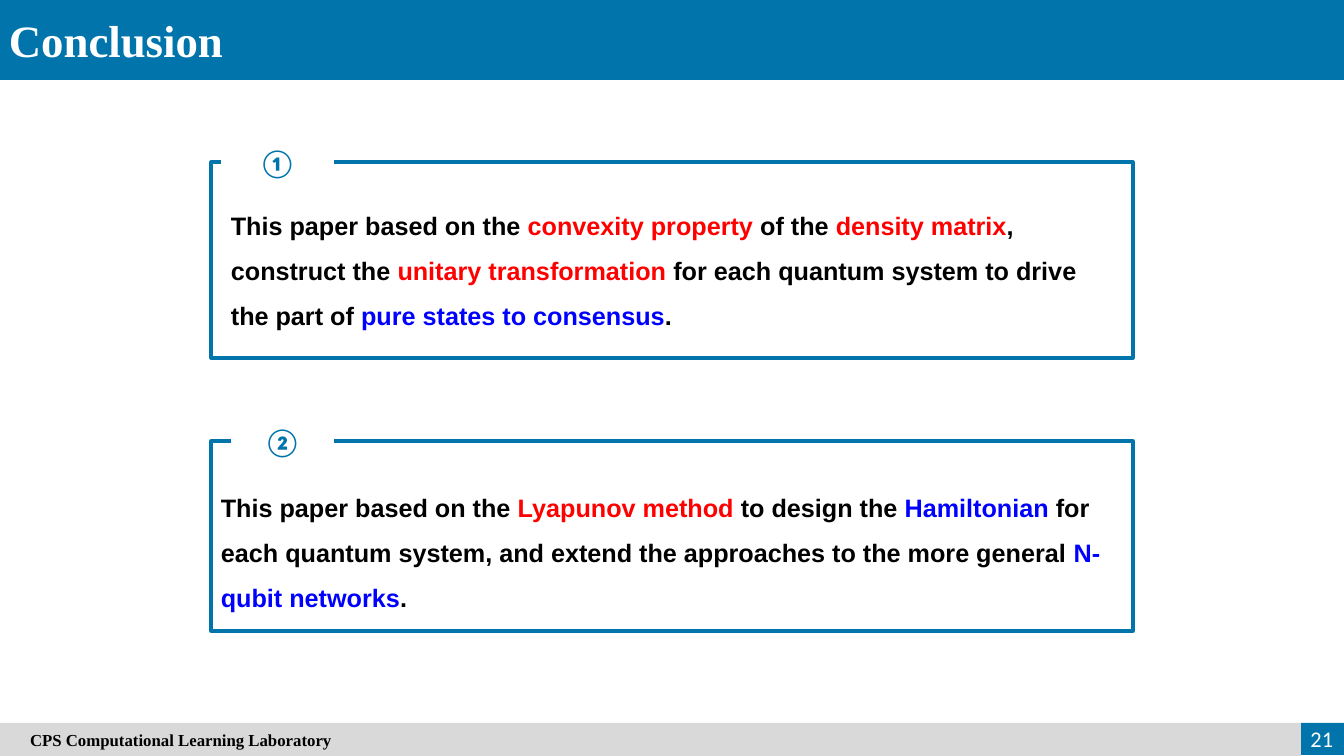
from pptx import Presentation
from pptx.dml.color import RGBColor
from pptx.enum.shapes import MSO_SHAPE
from pptx.enum.text import MSO_ANCHOR, PP_ALIGN
from pptx.util import Pt

BLUE = RGBColor(0x01, 0x74, 0xAB)
GRAY = RGBColor(0xD9, 0xD9, 0xD9)
WHITE = RGBColor(0xFF, 0xFF, 0xFF)
BLACK = RGBColor(0x00, 0x00, 0x00)
RED = RGBColor(0xFF, 0x00, 0x00)
ACCENT = RGBColor(0x00, 0x00, 0xFF)

# Content: places are (left, top, width, height) in px
TITLE = "Conclusion"
FOOTER = "CPS Computational Learning Laboratory"
PAGE_NUMBER = "21"
CONCLUSIONS = [
    {
        "frame": (211, 162, 922, 196),
        "badge": (221, 134, 113, 56),
        "number": "①",
        "body": (221, 190, 896, 142),
        "spans": [
            ("This paper based on the ", BLACK),
            ("convexity property ", RED),
            ("of the ", BLACK),
            ("density matrix", RED),
            (", construct the ", BLACK),
            ("unitary transformation ", RED),
            ("for each quantum system to drive the part of ", BLACK),
            ("pure states to consensus", ACCENT),
            (".", BLACK),
        ],
    },
    {
        "frame": (211, 441, 922, 190),
        "badge": (231, 413, 103, 56),
        "number": "②",
        "body": (211, 472, 936, 142),
        "spans": [
            ("This paper based on the ", BLACK),
            ("Lyapunov method ", RED),
            ("to design the ", BLACK),
            ("Hamiltonian", ACCENT),
            (" for each quantum system, and extend the approaches"
             " to the more general ", BLACK),
            ("N-qubit networks", ACCENT),
            (".", BLACK),
        ],
    },
]

# Page
WIDTH, HEIGHT = 1344, 756
HEADER_HEIGHT = 80
FOOTER_TOP = 723
NUMBER_LEFT = 1301


def px(length):
    return round(length * 914400 / 100.8)


deck = Presentation()
deck.slide_width, deck.slide_height = px(WIDTH), px(HEIGHT)
page = deck.slides.add_slide(deck.slide_layouts[6])


def add_rectangle(place, fill=None, line=None):
    box = page.shapes.add_shape(MSO_SHAPE.RECTANGLE, *map(px, place))
    box.shadow.inherit = False
    if fill is None:
        box.fill.background()
    else:
        box.fill.solid()
        box.fill.fore_color.rgb = fill
    if line is None:
        box.line.fill.background()
    else:
        box.line.color.rgb = line
        box.line.width = Pt(2.25)
    return box


def add_text_box(place):
    return page.shapes.add_textbox(*map(px, place))


def write(box, spans, font, size, bold=True, align=PP_ALIGN.LEFT,
          anchor=MSO_ANCHOR.MIDDLE, spacing=1.0):
    frame = box.text_frame
    frame.word_wrap = True
    frame.vertical_anchor = anchor
    para = frame.paragraphs[0]
    para.alignment = align
    para.line_spacing = spacing
    for text, color in spans:
        span = para.add_run()
        span.text = text
        span.font.name = font
        span.font.size = Pt(size)
        span.font.bold = bold
        span.font.color.rgb = color


# Header
add_rectangle((0, 0, WIDTH, HEADER_HEIGHT), BLUE)
title = add_text_box((-1, 8, 541, 64))
write(title, [(TITLE, WHITE)], "Times New Roman", 32, anchor=MSO_ANCHOR.TOP)

# Framed conclusions, each badge interrupting its frame's top edge
for item in CONCLUSIONS:
    add_rectangle(item["frame"], line=BLUE)
    badge = add_rectangle(item["badge"], WHITE)
    write(badge, [(item["number"], BLUE)], "Calibri", 20,
          align=PP_ALIGN.CENTER)
    body = add_text_box(item["body"])
    write(body, item["spans"], "Arial", 18, anchor=MSO_ANCHOR.TOP,
          spacing=1.5)

# Footer and page number
add_rectangle((NUMBER_LEFT, FOOTER_TOP, WIDTH - NUMBER_LEFT, 32), BLUE)
footer = add_rectangle(
    (0, FOOTER_TOP, NUMBER_LEFT, HEIGHT - FOOTER_TOP), GRAY)
footer.text_frame.margin_left = px(30)
write(footer, [(FOOTER, BLACK)], "Times New Roman", 12)
number = add_text_box((1279, 719, 64, 40))
write(number, [(PAGE_NUMBER, WHITE)], "Calibri", 16, bold=False,
      align=PP_ALIGN.RIGHT)

deck.save("out.pptx")
